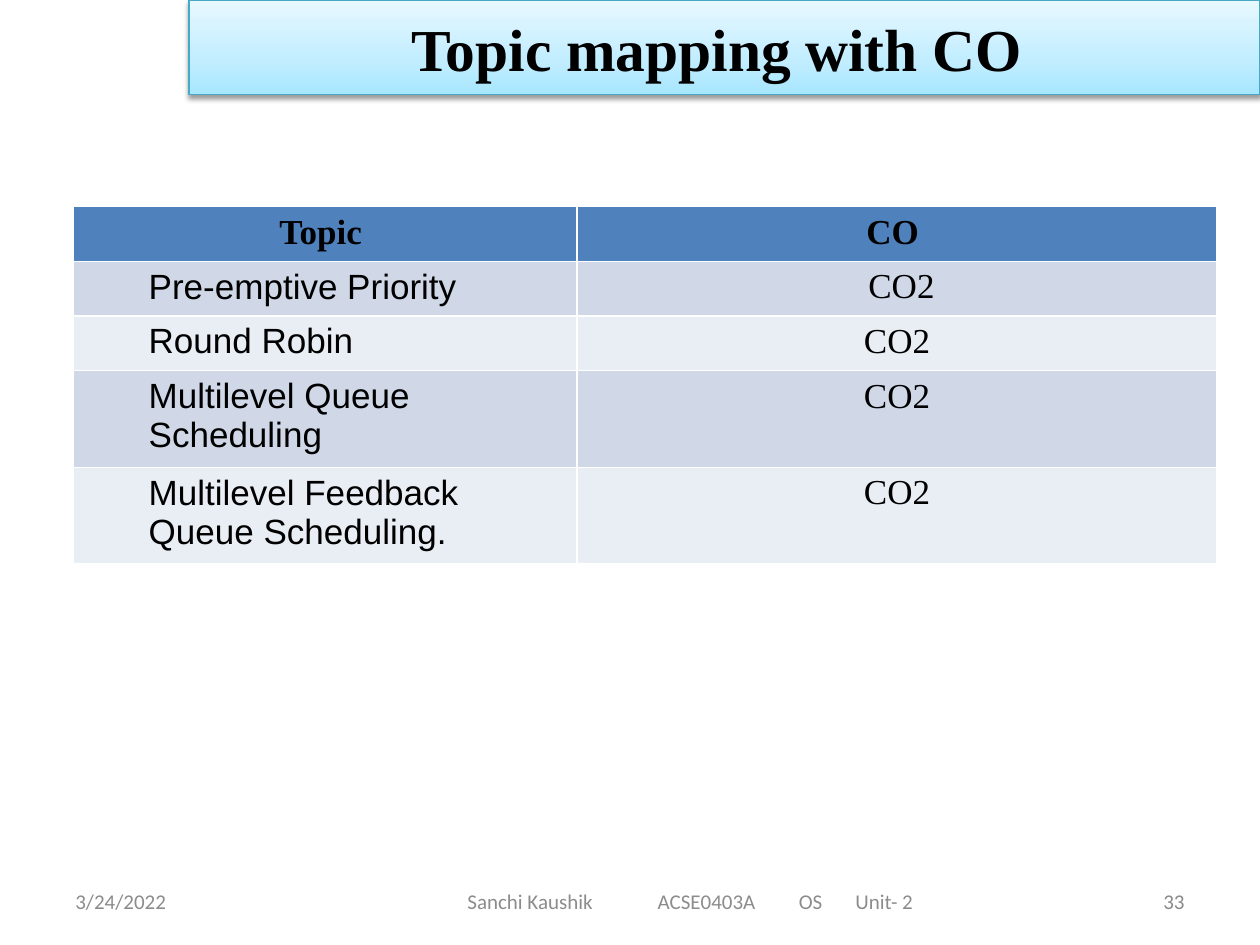
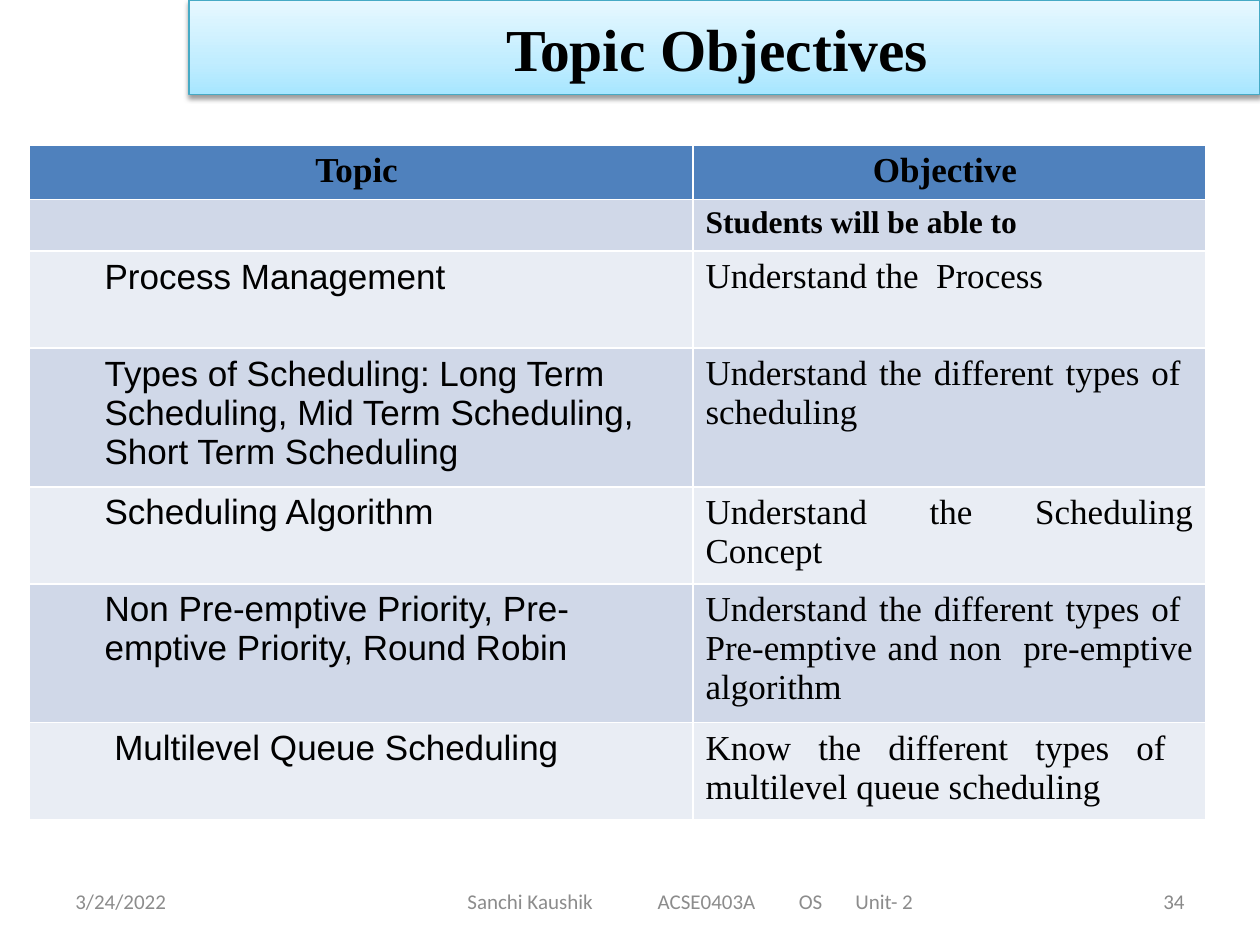
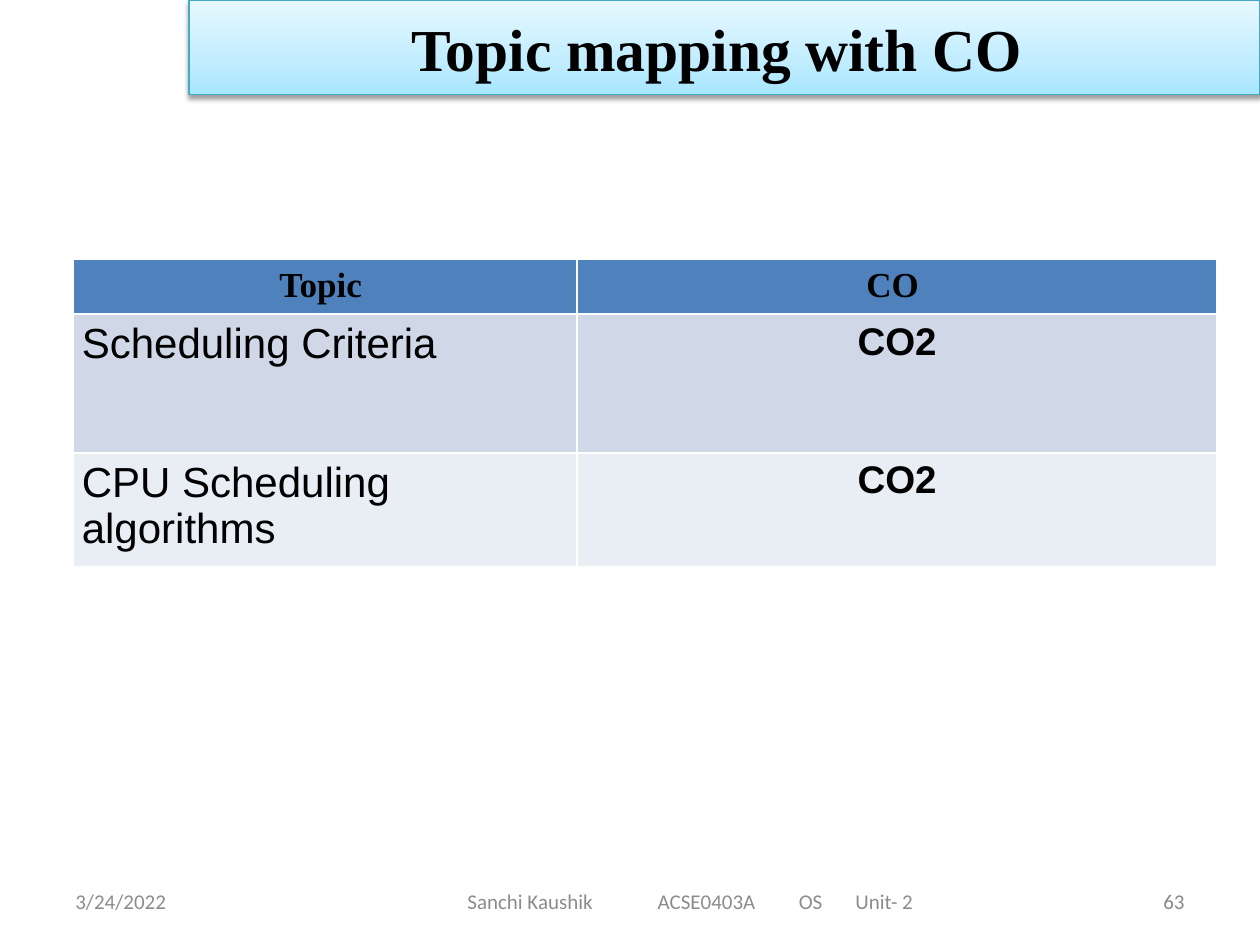
from pptx import Presentation
from pptx.dml.color import RGBColor
from pptx.enum.shapes import MSO_SHAPE
from pptx.enum.text import MSO_ANCHOR, PP_ALIGN
from pptx.oxml import parse_xml
from pptx.oxml.ns import nsdecls, qn
from pptx.util import Inches, Pt

COLORS = {
    "text": "000000",
    "footer": "8C8C8C",
    "number": "898989",
    "band_line": "46AAC5",
    "band_bottom": "A7E6FF",
    "band_middle": "C1EDFF",
    "band_top": "E7F8FF",
    "header": "4F81BD",
    "odd_row": "D0D8E8",
    "even_row": "E9EDF4",
}
SERIF = "Times New Roman"
SANS = "Arial"
FOOTER_FONT = {"font": "Calibri", "size": 12, "color": "footer"}
HEADER_FORMAT = {"bold": True, "align": PP_ALIGN.CENTER}
TOPIC_FORMAT = {"font": SANS, "indent": 0.5}
CENTERED = {"align": PP_ALIGN.CENTER}
JUSTIFIED = {"align": PP_ALIGN.JUSTIFY}


def color_of(name):
    """Return the named palette colour."""
    return RGBColor.from_string(COLORS[name])


def write_text(text_frame, text, font=SERIF, size=20, color="text", bold=False,
               align=PP_ALIGN.LEFT, indent=0, tabs=()):
    """Write one formatted paragraph into a text frame."""
    text_frame.word_wrap = True
    paragraph = text_frame.paragraphs[0]
    paragraph.alignment = align
    properties = paragraph._p.get_or_add_pPr()
    if indent:
        properties.set("marL", str(Inches(indent)))
    if tabs:
        stops = "".join(f'<a:tab pos="{Inches(tab)}" algn="l"/>' for tab in tabs)
        properties.append(parse_xml(f'<a:tabLst {nsdecls("a")}>{stops}</a:tabLst>'))
    run = paragraph.add_run()
    run.text = text
    run.font.name = font
    run.font.size = Pt(size)
    run.font.bold = bold
    run.font.color.rgb = color_of(color)


def add_footer_text(slide, text, left, width, left_margin=0.1, **text_format):
    """Add one text box on the footer line."""
    box = slide.shapes.add_textbox(Inches(left), Inches(6.95), Inches(width), Inches(0.4))
    box.text_frame.vertical_anchor = MSO_ANCHOR.MIDDLE
    box.text_frame.margin_left = Inches(left_margin)
    write_text(box.text_frame, text, **{**FOOTER_FONT, **text_format})


def add_footer(slide, number):
    """Add the date, the course line and the slide number."""
    add_footer_text(slide, "3/24/2022", 0.5, 2.33)
    add_footer_text(slide, "Sanchi Kaushik\tACSE0403A\tOS\tUnit- 2", 2.75, 5.5,
                    left_margin=0.96, tabs=(1.51, 2.63, 3.08))
    add_footer_text(slide, str(number), 7.17, 2.33, color="number", align=PP_ALIGN.RIGHT)


def add_title_band(slide, title):
    """Add the shaded title band with its soft shadow."""
    band = slide.shapes.add_shape(MSO_SHAPE.RECTANGLE, Inches(1.5), 0, Inches(8.5), Inches(0.75))
    band.line.color.rgb = color_of("band_line")
    band.line.width = Pt(0.75)
    band.shadow.inherit = False
    stops = "".join(
        f'<a:gs pos="{percent * 1000}"><a:srgbClr val="{COLORS[name]}"/></a:gs>'
        for percent, name in ((0, "band_bottom"), (35, "band_middle"), (100, "band_top")))
    properties = band.element.spPr
    properties.find(qn("a:prstGeom")).addnext(parse_xml(
        f'<a:gradFill {nsdecls("a")} rotWithShape="1"><a:gsLst>{stops}</a:gsLst>'
        '<a:lin ang="16200000" scaled="1"/></a:gradFill>'))
    properties.find(qn("a:effectLst")).append(parse_xml(
        f'<a:outerShdw {nsdecls("a")} blurRad="{Pt(3.1)}" dist="{Pt(1.6)}" dir="5400000" '
        f'rotWithShape="0"><a:srgbClr val="{COLORS["text"]}"><a:alpha val="38000"/>'
        '</a:srgbClr></a:outerShdw>'))
    band.text_frame.vertical_anchor = MSO_ANCHOR.MIDDLE
    write_text(band.text_frame, title, size=34, bold=True, align=PP_ALIGN.CENTER)


def add_topic_table(slide, left, top, widths, heights, rows, formats, margin=0.1):
    """Add a banded table whose first row is the header."""
    table = slide.shapes.add_table(
        len(rows), len(widths), Inches(left), Inches(top),
        Inches(sum(widths)), Inches(sum(heights))).table
    table.horz_banding = False
    for column, width in zip(table.columns, widths):
        column.width = Inches(width)
    for row_index, (row, height) in enumerate(zip(rows, heights)):
        table.rows[row_index].height = Inches(height)
        fill = "odd_row" if row_index % 2 else "even_row"
        for column_index, content in enumerate(row):
            cell = table.cell(row_index, column_index)
            cell.fill.solid()
            cell.fill.fore_color.rgb = color_of(fill if row_index else "header")
            if row_index:
                cell.margin_left = cell.margin_right = Inches(margin)
            text_format = formats[column_index] if row_index else HEADER_FORMAT
            if isinstance(content, tuple):
                content, text_format = content
            if content:
                write_text(cell.text_frame, content, **text_format)


def add_topic_slide(presentation, title, number, **table):
    """Add a slide with its title band, table and footer."""
    slide = presentation.slides.add_slide(presentation.slide_layouts[6])
    add_footer(slide, number)
    add_title_band(slide, title)
    add_topic_table(slide, **table)


def main():
    """Build the three topic slides."""
    presentation = Presentation()
    presentation.slide_width = Inches(10)
    presentation.slide_height = Inches(7.5)

    add_topic_slide(
        presentation, "Topic mapping with CO ", 33,
        left=0.58, top=1.64, widths=(4, 5.08), heights=(0.41, 0.41, 0.41, 0.72, 0.72),
        formats=(TOPIC_FORMAT, CENTERED),
        rows=(
            ("Topic ", "CO "),
            ("Pre-emptive Priority", " CO2"),
            ("Round Robin", "CO2"),
            ("Multilevel Queue Scheduling", "CO2"),
            ("Multilevel Feedback Queue Scheduling.", "CO2"),
        ))

    add_topic_slide(
        presentation, "Topic Objectives ", 34,
        left=0.23, top=1.15, widths=(5.27, 4.07),
        heights=(0.43, 0.41, 0.77, 1.1, 0.77, 1.1, 0.77),
        formats=(TOPIC_FORMAT, JUSTIFIED),
        rows=(
            ("Topic ", "Objective "),
            ("", ("Students will be able to", {"size": 18, "bold": True})),
            ("Process Management", "Understand the  Process"),
            ("Types of Scheduling: Long Term Scheduling, Mid Term Scheduling, "
             "Short Term Scheduling",
             "Understand the different types of  scheduling"),
            ("Scheduling Algorithm", "Understand the Scheduling Concept"),
            ("Non Pre-emptive Priority, Pre-emptive Priority, Round Robin",
             "Understand the different types of  Pre-emptive and non  pre-emptive algorithm"),
            (" Multilevel Queue Scheduling",
             "Know the different types of  multilevel queue scheduling"),
        ))

    add_topic_slide(
        presentation, "Topic mapping with CO ", 63,
        left=0.58, top=2.06, widths=(4, 5.08), heights=(0.43, 1.1, 0.84), margin=0.07,
        formats=({"font": SANS, "size": 24},
                 {"font": SANS, "size": 22, "bold": True, "align": PP_ALIGN.CENTER}),
        rows=(
            ("Topic ", "CO "),
            ("Scheduling Criteria", "CO2"),
            ("CPU Scheduling algorithms", "CO2"),
        ))

    presentation.save("out.pptx")


if __name__ == "__main__":
    main()
